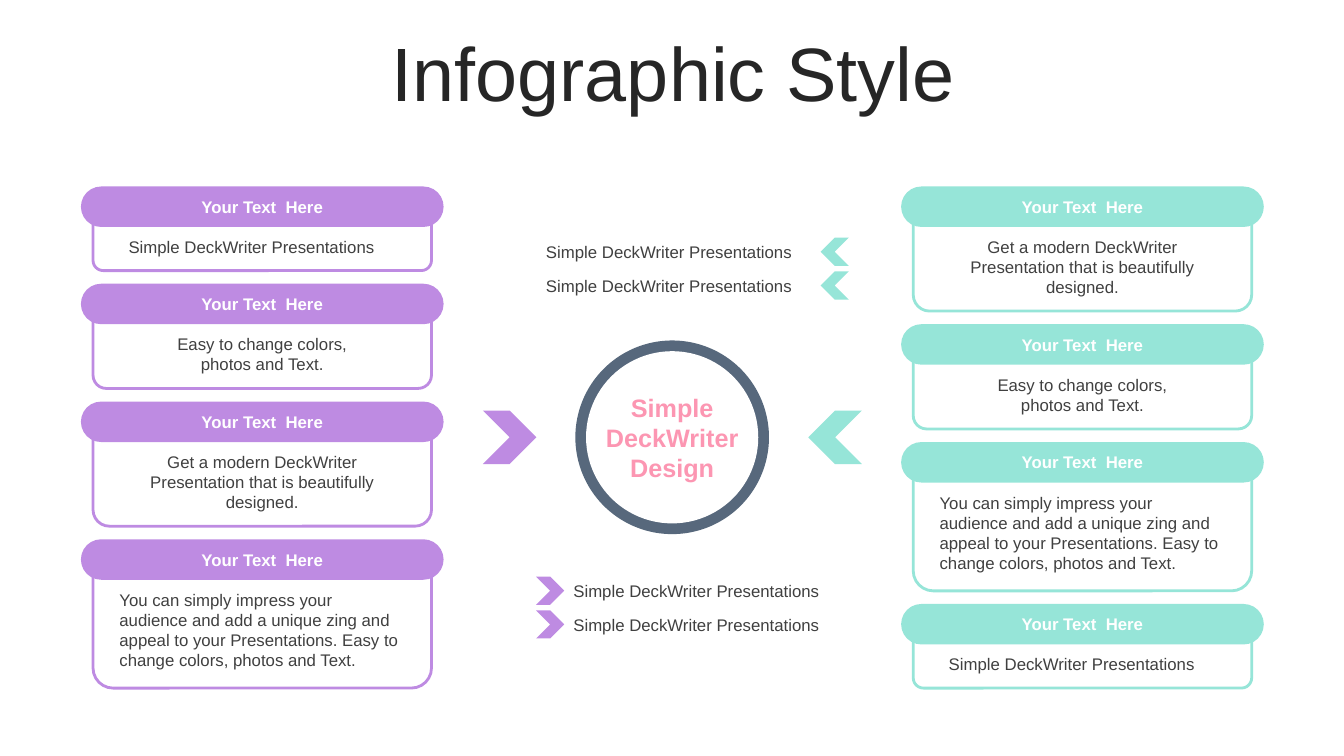
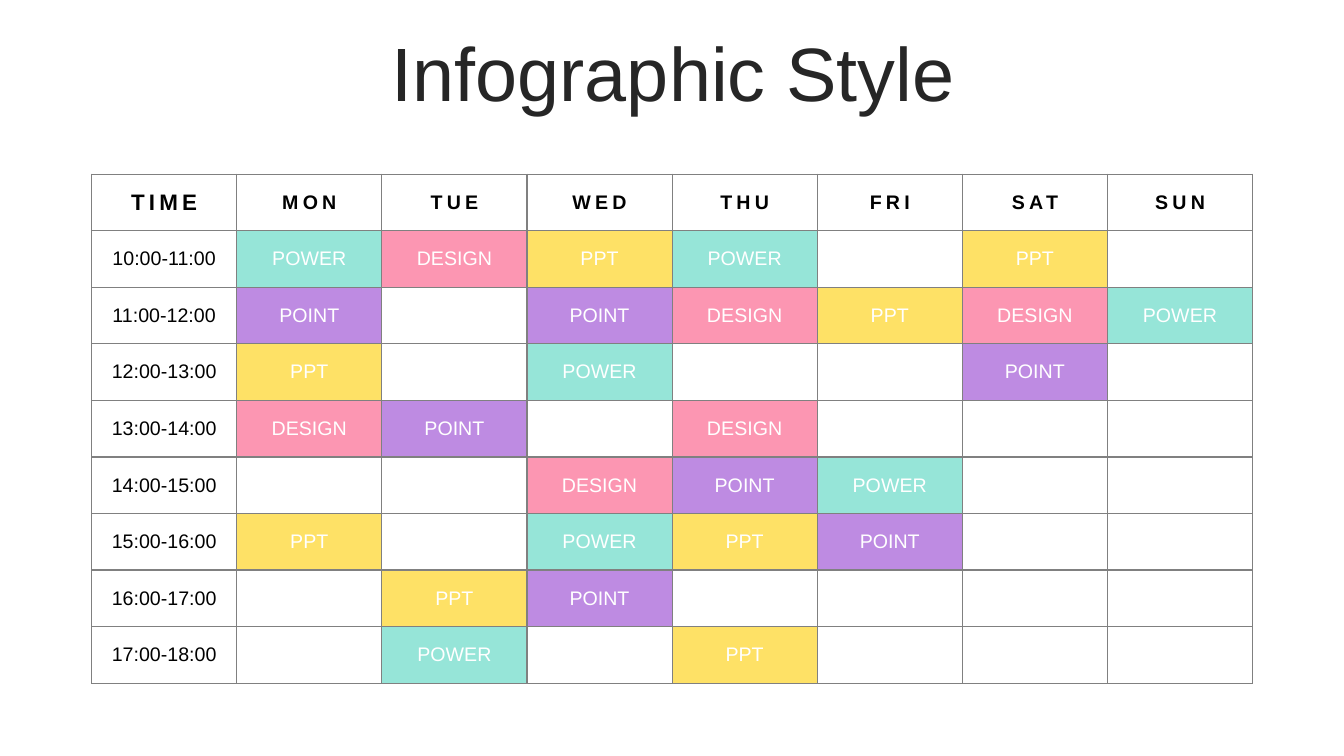
import pptx
import pptx.dml.color
import pptx.enum.shapes
import pptx.enum.text
import pptx.oxml
import pptx.util
from pptx.util import Cm

SHAPES = pptx.enum.shapes.MSO_SHAPE
ALIGN = pptx.enum.text.PP_ALIGN
ANCHOR = pptx.enum.text.MSO_ANCHOR

FONT = "Arial"
WHITE, BLACK = "FFFFFF", "000000"
PURPLE, MINT, PINK, YELLOW = "BE8BE2", "96E5D8", "FC96B2", "FEE166"
SLATE, TITLE_INK, BODY_INK, GRID = "57687C", "262626", "404040", "808080"

TITLE = "Infographic Style"
CARD_LABEL = "Your Text  Here"
HUB = "Simple DeckWriter Design"
NOTE = "Simple DeckWriter Presentations"

BRIEF = (NOTE, 1.7, 7.24, ALIGN.LEFT)
EASY = ("Easy to change colors, photos and Text.", 2.22, 6.12, ALIGN.CENTER)
MODERN = ("Get a modern DeckWriter Presentation that is beautifully designed.",
          2.72, 7.29, ALIGN.CENTER)
IMPRESS = ("You can simply impress your audience and add a unique zing and "
           "appeal to your Presentations. Easy to change colors, photos and Text.",
           3.33, 7.7, ALIGN.LEFT)

CARD_COLUMNS = [
    (2.04, PURPLE, [BRIEF, EASY, MODERN, IMPRESS]),
    (22.71, MINT, [MODERN, EASY, IMPRESS, BRIEF]),
]
BIG_ARROWS = [(12.17, PURPLE, 0), (20.37, MINT, 180)]
NOTE_PAIRS = [
    (5.99, 20.68, 13.51, MINT, 180),
    (14.53, 13.51, 14.2, PURPLE, 0),
]

DAYS = ["TIME", "MON", "TUE", "WED", "THU", "FRI", "SAT", "SUN"]
SCHEDULE = [
    ["10:00-11:00", "POWER", "DESIGN", "PPT", "POWER", "", "PPT", ""],
    ["11:00-12:00", "POINT", "", "POINT", "DESIGN", "PPT", "DESIGN", "POWER"],
    ["12:00-13:00", "PPT", "", "POWER", "", "", "POINT", ""],
    ["13:00-14:00", "DESIGN", "POINT", "", "DESIGN", "", "", ""],
    ["14:00-15:00", "", "", "DESIGN", "POINT", "POWER", "", ""],
    ["15:00-16:00", "PPT", "", "POWER", "PPT", "POINT", "", ""],
    ["16:00-17:00", "", "PPT", "POINT", "", "", "", ""],
    ["17:00-18:00", "", "POWER", "", "PPT", "", "", ""],
]
SUBJECT_COLOURS = {"POWER": MINT, "DESIGN": PINK, "PPT": YELLOW, "POINT": PURPLE}

PILL_WIDTH, PILL_HEIGHT = 9.14, 1.02
CARD_WIDTH, CARD_DROP, CARD_GAP = 8.53, 0.42, 0.33
CARDS_TOP, TEXT_DROP = 4.7, 1.14
HUB_X, HUB_Y = 16.94, 11.02
BIG_ARROW, SMALL_ARROW, NOTE_STEP = 1.35, 0.71, 0.85
LINE_HEIGHT = 0.76


def rgb(colour):
    return pptx.dml.color.RGBColor.from_string(colour)


def write(frame, text, size=12, colour=BODY_INK, bold=False, align=ALIGN.CENTER,
          leading=None, tracking=None):
    paragraph = frame.paragraphs[0]
    paragraph.alignment = align
    paragraph.line_spacing = leading
    run = paragraph.add_run()
    run.text = text
    run.font.name = FONT
    run.font.size = pptx.util.Pt(size)
    run.font.bold = bold
    run.font.color.rgb = rgb(colour)
    if tracking:
        run.font._element.set("spc", str(tracking * 100))


def add_text(slide, text, left, top, width, height, anchor=ANCHOR.MIDDLE, **style):
    frame = slide.shapes.add_textbox(Cm(left), Cm(top), Cm(width), Cm(height)).text_frame
    frame.word_wrap = True
    frame.vertical_anchor = anchor
    write(frame, text, **style)


def add_figure(slide, kind, left, top, width, height, fill, line=None, rotation=0):
    figure = slide.shapes.add_shape(kind, Cm(left), Cm(top), Cm(width), Cm(height))
    figure.shadow.inherit = False
    figure.fill.solid()
    figure.fill.fore_color.rgb = rgb(fill)
    figure.rotation = rotation
    if line:
        figure.line.color.rgb = rgb(line)
        figure.line.width = pptx.util.Pt(2)
    else:
        figure.line.fill.background()
    return figure


def add_card(slide, left, top, colour, text, height, text_width, align):
    middle = left + PILL_WIDTH / 2
    body = add_figure(slide, SHAPES.ROUNDED_RECTANGLE, middle - CARD_WIDTH / 2,
                      top + CARD_DROP, CARD_WIDTH, height, WHITE, line=colour)
    body.adjustments[0] = 0.152
    pill = add_figure(slide, SHAPES.ROUNDED_RECTANGLE, left, top,
                      PILL_WIDTH, PILL_HEIGHT, colour)
    pill.adjustments[0] = 0.5
    pill.text_frame.vertical_anchor = ANCHOR.MIDDLE
    write(pill.text_frame, CARD_LABEL, colour=WHITE, bold=True)
    add_text(slide, text, middle - text_width / 2, top + TEXT_DROP, text_width,
             height + CARD_DROP - TEXT_DROP - 0.22, anchor=ANCHOR.TOP, align=align)


def add_hub(slide):
    for diameter, colour in [(4.88, SLATE), (4.34, WHITE)]:
        add_figure(slide, SHAPES.OVAL, HUB_X - diameter / 2, HUB_Y - diameter / 2,
                   diameter, diameter, colour)
    add_text(slide, HUB, HUB_X - 2.26, HUB_Y - 1.28, 4.52, 2.56,
             size=18, colour=PINK, bold=True)


def add_titled_slide(deck):
    slide = deck.slides.add_slide(deck.slide_layouts[6])
    add_text(slide, TITLE, 0.89, 0.94, 32.16, 2.01, size=54, colour=TITLE_INK, leading=0.9)
    return slide


def build_cards(deck):
    slide = add_titled_slide(deck)
    add_hub(slide)
    for left, colour, cards in CARD_COLUMNS:
        top = CARDS_TOP
        for text, height, text_width, align in cards:
            add_card(slide, left, top, colour, text, height, text_width, align)
            top += CARD_DROP + height + CARD_GAP
    for left, colour, rotation in BIG_ARROWS:
        add_figure(slide, SHAPES.CHEVRON, left, HUB_Y - BIG_ARROW / 2,
                   BIG_ARROW, BIG_ARROW, colour, rotation=rotation)
    for top, arrow_left, note_left, colour, rotation in NOTE_PAIRS:
        for arrow_top in (top, top + NOTE_STEP):
            add_figure(slide, SHAPES.CHEVRON, arrow_left, arrow_top,
                       SMALL_ARROW, SMALL_ARROW, colour, rotation=rotation)
            add_text(slide, NOTE, note_left, arrow_top + (SMALL_ARROW - LINE_HEIGHT) / 2,
                     7.16, LINE_HEIGHT, align=ALIGN.LEFT)


def draw_borders(cell):
    properties = cell._tc.get_or_add_tcPr()
    for side in ("lnL", "lnR", "lnT", "lnB"):
        properties.append(pptx.oxml.parse_xml(
            f'<a:{side} xmlns:a="http://schemas.openxmlformats.org/drawingml/2006/main" '
            f'w="12700"><a:solidFill><a:srgbClr val="{GRID}"/></a:solidFill></a:{side}>'))


def build_schedule(deck):
    slide = add_titled_slide(deck)
    rows = [DAYS] + SCHEDULE
    table = slide.shapes.add_table(len(rows), len(DAYS), Cm(2.31), Cm(4.39),
                                   Cm(29.26), Cm(12.83)).table
    table.first_row = table.horz_banding = False
    for row, entries in enumerate(rows):
        for column, entry in enumerate(entries):
            cell = table.cell(row, column)
            cell.margin_left = cell.margin_right = cell.margin_top = cell.margin_bottom = 0
            cell.vertical_anchor = ANCHOR.MIDDLE
            draw_borders(cell)
            cell.fill.solid()
            cell.fill.fore_color.rgb = rgb(SUBJECT_COLOURS.get(entry, WHITE))
            if entry:
                heading = row == 0
                write(cell.text_frame, entry, size=16 if heading and column == 0 else 14,
                      colour=WHITE if entry in SUBJECT_COLOURS else BLACK,
                      bold=heading, tracking=3 if heading else None)


def main():
    deck = pptx.Presentation()
    deck.slide_width, deck.slide_height = Cm(33.87), Cm(19.05)
    build_cards(deck)
    build_schedule(deck)
    deck.save("out.pptx")


if __name__ == "__main__":
    main()
